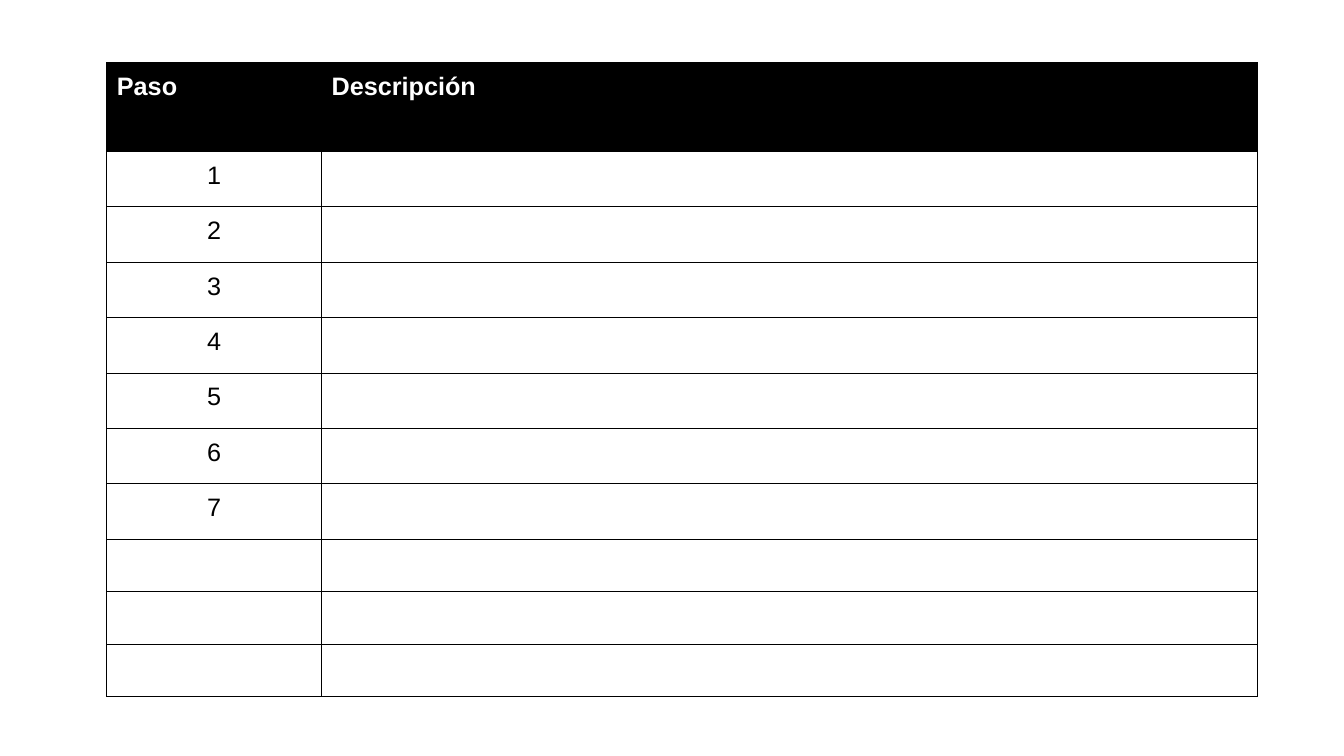
import pptx
import pptx.dml.color
import pptx.enum.text
import pptx.oxml
import pptx.oxml.ns
import pptx.util

BLACK = pptx.dml.color.RGBColor(0, 0, 0)
WHITE = pptx.dml.color.RGBColor(255, 255, 255)
ALIGN = pptx.enum.text.PP_ALIGN
Inches = pptx.util.Inches

# Grid in inches
LEFT, TOP = 1.06, 0.62
COLUMNS = [2.13, 9.28]
HEADERS = ["Paso", "Descripción"]
STEPS, SPARE_ROWS = 7, 3
ROWS = [0.88] + [0.55] * STEPS + [0.52] * SPARE_ROWS
MARGIN = 0.1


def add_borders(cell):
    """Draw a thin black line on all four sides of the cell."""
    tcPr = cell._tc.get_or_add_tcPr()
    for i, side in enumerate(("lnL", "lnR", "lnT", "lnB")):
        tcPr.insert(i, pptx.oxml.parse_xml(
            f'<a:{side} {pptx.oxml.ns.nsdecls("a")} w="{pptx.util.Pt(0.75)}">'
            f'<a:solidFill><a:srgbClr val="{BLACK}"/></a:solidFill></a:{side}>'))


def format_cell(cell, text="", color=BLACK, bold=False, align=ALIGN.LEFT, fill=None):
    cell.margin_left = cell.margin_right = Inches(MARGIN)
    cell.margin_top = cell.margin_bottom = Inches(MARGIN)
    if fill is None:
        cell.fill.background()
    else:
        cell.fill.solid()
        cell.fill.fore_color.rgb = fill
    p = cell.text_frame.paragraphs[0]
    if text:
        p.text = text
    p.alignment = align
    p.font.name = "Arial"
    p.font.size = pptx.util.Pt(18)
    p.font.bold = bold
    p.font.color.rgb = color
    add_borders(cell)


def add_grid(slide):
    table = slide.shapes.add_table(
        len(ROWS), len(COLUMNS), Inches(LEFT), Inches(TOP),
        Inches(sum(COLUMNS)), Inches(sum(ROWS))).table
    table.first_row = table.horz_banding = False
    for column, width in zip(table.columns, COLUMNS):
        column.width = Inches(width)
    for row, height in zip(table.rows, ROWS):
        row.height = Inches(height)
    return table


def main():
    prs = pptx.Presentation()
    prs.slide_width, prs.slide_height = Inches(13.33), Inches(7.5)
    s = prs.slides.add_slide(prs.slide_layouts[6])
    table = add_grid(s)

    # Header row
    for col, title in enumerate(HEADERS):
        format_cell(table.cell(0, col), title, WHITE, bold=True, fill=BLACK)

    # Numbered steps, then spare rows
    for row in range(1, len(ROWS)):
        number = str(row) if row <= STEPS else ""
        format_cell(table.cell(row, 0), number, align=ALIGN.CENTER)
        format_cell(table.cell(row, 1))

    prs.save("out.pptx")


if __name__ == "__main__":
    main()
